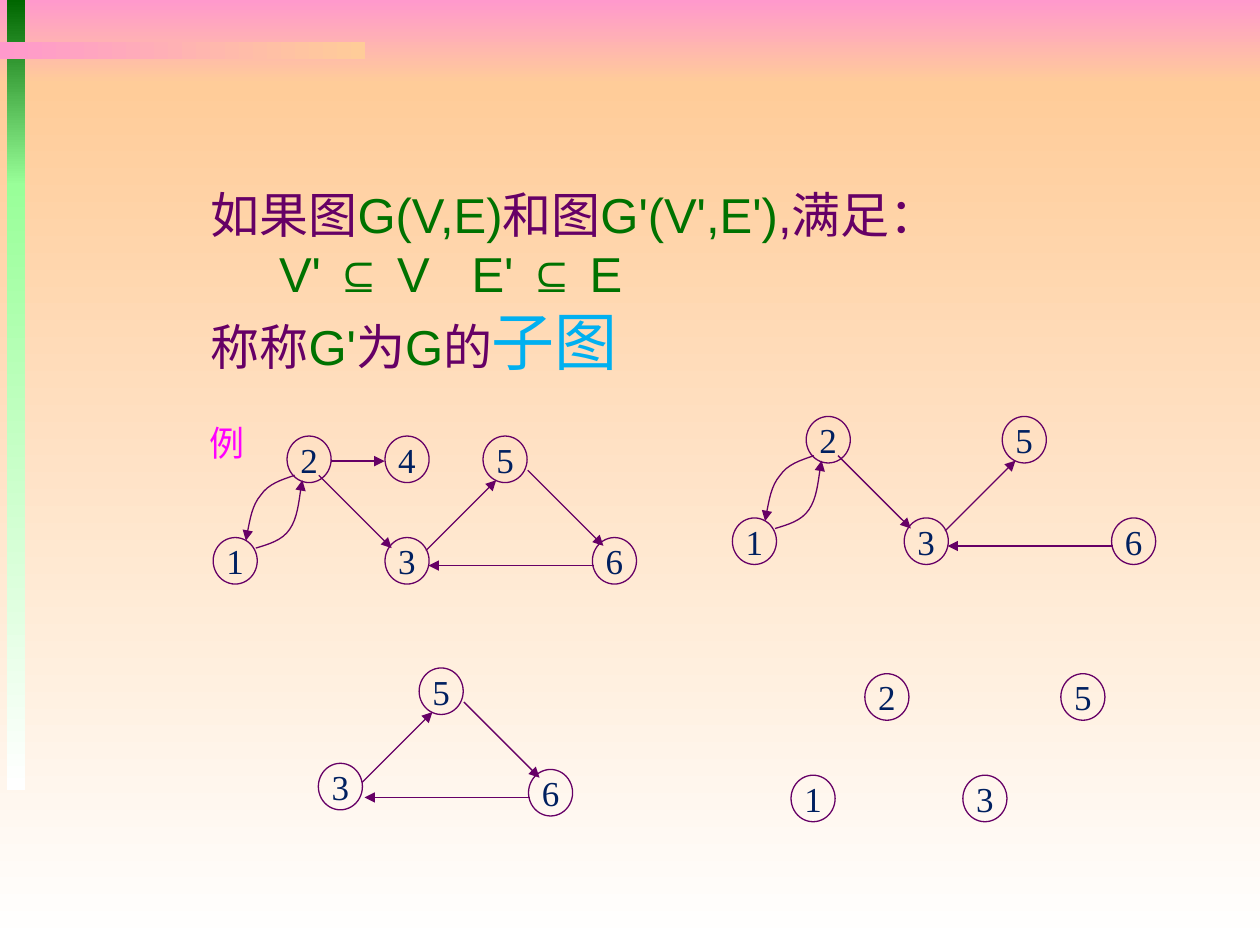
"""Build a slide that defines subgraphs and shows a directed graph with three of them."""
import pptx
import pptx.dml.color
import pptx.enum.shapes
import pptx.enum.text
import pptx.oxml
import pptx.oxml.ns
import pptx.util
from lxml import etree

Pt = pptx.util.Pt
RGBColor = pptx.dml.color.RGBColor
SHAPE = pptx.enum.shapes.MSO_SHAPE
ALIGN = pptx.enum.text.PP_ALIGN
MIDDLE = pptx.enum.text.MSO_ANCHOR.MIDDLE
qn = pptx.oxml.ns.qn

PURPLE = RGBColor(0x66, 0x00, 0x66)
GREEN = RGBColor(0x00, 0x72, 0x00)
SKY = RGBColor(0x00, 0xB0, 0xF0)
NAVY = RGBColor(0x00, 0x20, 0x60)
MAGENTA = RGBColor(0xFF, 0x00, 0xFF)
PINK = RGBColor(0xFF, 0x99, 0xCC)
PEACH = RGBColor(0xFF, 0xCC, 0x99)
FOREST = RGBColor(0x00, 0x66, 0x00)
MINT = RGBColor(0x99, 0xFF, 0x99)
WHITE = RGBColor(0xFF, 0xFF, 0xFF)


def add_run(p, text, color, size=28, font="Arial", align=ALIGN.LEFT):
    p.alignment = align
    r = p.add_run()
    r.text = text
    r.font.name = font
    r.font.size = Pt(size)
    r.font.color.rgb = color


def style_edge(edge):
    edge.line.color.rgb = PURPLE
    edge.line.width = Pt(0.75)
    etree.SubElement(edge.line._get_or_add_ln(), qn("a:tailEnd"), type="triangle")
    if edge._element.spPr.find(qn("a:effectLst")) is None:
        etree.SubElement(edge._element.spPr, qn("a:effectLst"))


prs = pptx.Presentation()
prs.slide_width, prs.slide_height = Pt(720), Pt(540)
s = prs.slides.add_slide(prs.slide_layouts[6])

bands = [
    (0, 0, 720, 48, PINK, PEACH, 270),
    (0, 48, 720, 492, PEACH, WHITE, 270),
    (4, 0, 10.25, 106, FOREST, MINT, 270),
    (4, 105, 10.25, 346.5, MINT, WHITE, 270),
    (0, 24, 208.5, 9.75, PINK, PEACH, 0),
]
for x, y, w, h, start, end, angle in bands:
    sp = s.shapes.add_shape(SHAPE.RECTANGLE, Pt(x), Pt(y), Pt(w), Pt(h))
    sp.shadow.inherit = False
    sp.line.fill.background()
    sp.fill.gradient()
    sp.fill.gradient_angle = angle
    for stop, color in zip(sp.fill.gradient_stops, (start, end)):
        stop.color.rgb = color

lines = [
    [("如果图", PURPLE), ("G(V,E)", GREEN), ("和图", PURPLE), ("G'(V',E')", GREEN), (",满足：", PURPLE)],
    [("\tV' ⊆ V\tE' ⊆ E", GREEN)],
    [("称称", PURPLE), ("G'", GREEN), ("为", PURPLE), ("G", GREEN), ("的", PURPLE), ("子图", SKY, 36)],
]
tf = s.shapes.add_textbox(Pt(113.4), Pt(102.2), Pt(504), Pt(119)).text_frame
tf.word_wrap = True
for i, runs in enumerate(lines):
    p = tf.paragraphs[0] if i == 0 else tf.add_paragraph()
    for run in runs:
        add_run(p, *run)
tabs = etree.SubElement(tf.paragraphs[1]._p.get_or_add_pPr(), qn("a:tabLst"))
for stop in (39, 149):
    etree.SubElement(tabs, qn("a:tab"), pos=str(Pt(stop)), algn="l")

tf = s.shapes.add_textbox(Pt(112.3), Pt(237.6), Pt(34.5), Pt(31)).text_frame
tf.word_wrap = False
tf.vertical_anchor = MIDDLE
add_run(tf.paragraphs[0], "例", MAGENTA, size=20, font="Times New Roman", align=ALIGN.CENTER)

NODE_W, NODE_H = 25.2, 26.6
TOP, BOTTOM = 249.2, 307.2
nodes = {
    "1": (121.8, BOTTOM), "2": (164, TOP), "3": (220, BOTTOM),
    "4": (220, TOP), "5": (276, TOP), "6": (338.5, BOTTOM),
}
straight = {
    "24": ((189.2, 263.5), (219.8, 263.5)),
    "23": ((182.2, 271.6), (223.8, 313.2)),
    "63": ((339.2, 323.2), (244.8, 323.2)),
    "35": ((243.4, 314.6), (283.6, 274.4)),
    "56": ((301.6, 268.7), (344.8, 311.9)),
}
curved = {
    "21": [(168.4, 271.6), (160.6, 274.3), (153.4, 276.5), (149, 283),
           (144, 288.8), (141.2, 305.2), (140.5, 309)],
    "12": [(146.2, 313.2), (153.4, 311), (161.3, 308.9), (165.6, 302.4),
           (170, 296), (172, 278), (172.8, 274.4)],
}
graphs = [
    ("356", ("63", "35", "56"), -36.5, 132.5, {"3": (-1.6, -3.5)}),
    ("123456", ("24", "23", "63", "35", "56", "21", "12"), 0, 0, {}),
    ("1235", (), 330.2, 135.8, {}),
    ("12356", ("23", "63", "35", "21", "12"), 296.7, -11.2, {}),
]
for names, edges, dx, dy, nudges in graphs:
    for name in names:
        x, y = nodes[name]
        nx, ny = nudges.get(name, (0, 0))
        sp = s.shapes.add_shape(SHAPE.OVAL, Pt(x + dx + nx), Pt(y + dy + ny), Pt(NODE_W), Pt(NODE_H))
        sp.shadow.inherit = False
        sp.fill.background()
        sp.line.color.rgb = PURPLE
        sp.line.width = Pt(0.75)
        tf = sp.text_frame
        tf.word_wrap = False
        tf.vertical_anchor = MIDDLE
        add_run(tf.paragraphs[0], name, NAVY, size=20, font="Times New Roman", align=ALIGN.CENTER)
    for edge in edges:
        points = [(Pt(x + dx), Pt(y + dy)) for x, y in straight.get(edge) or curved[edge]]
        if edge in straight:
            sp = s.shapes.add_connector(pptx.enum.shapes.MSO_CONNECTOR.STRAIGHT, *points[0], *points[1])
        else:
            builder = s.shapes.build_freeform(*points[0])
            builder.add_line_segments(points[1:], close=False)
            sp = builder.convert_to_shape()
            sp.shadow.inherit = False
            sp.fill.background()
            segments = list(sp._element.iter(qn("a:lnTo")))
            outline = segments[0].getparent()
            for i in range(0, len(segments), 3):
                curve = etree.SubElement(outline, qn("a:cubicBezTo"))
                for segment in segments[i:i + 3]:
                    curve.append(segment[0])
                    outline.remove(segment)
        style_edge(sp)

prs.save("out.pptx")
